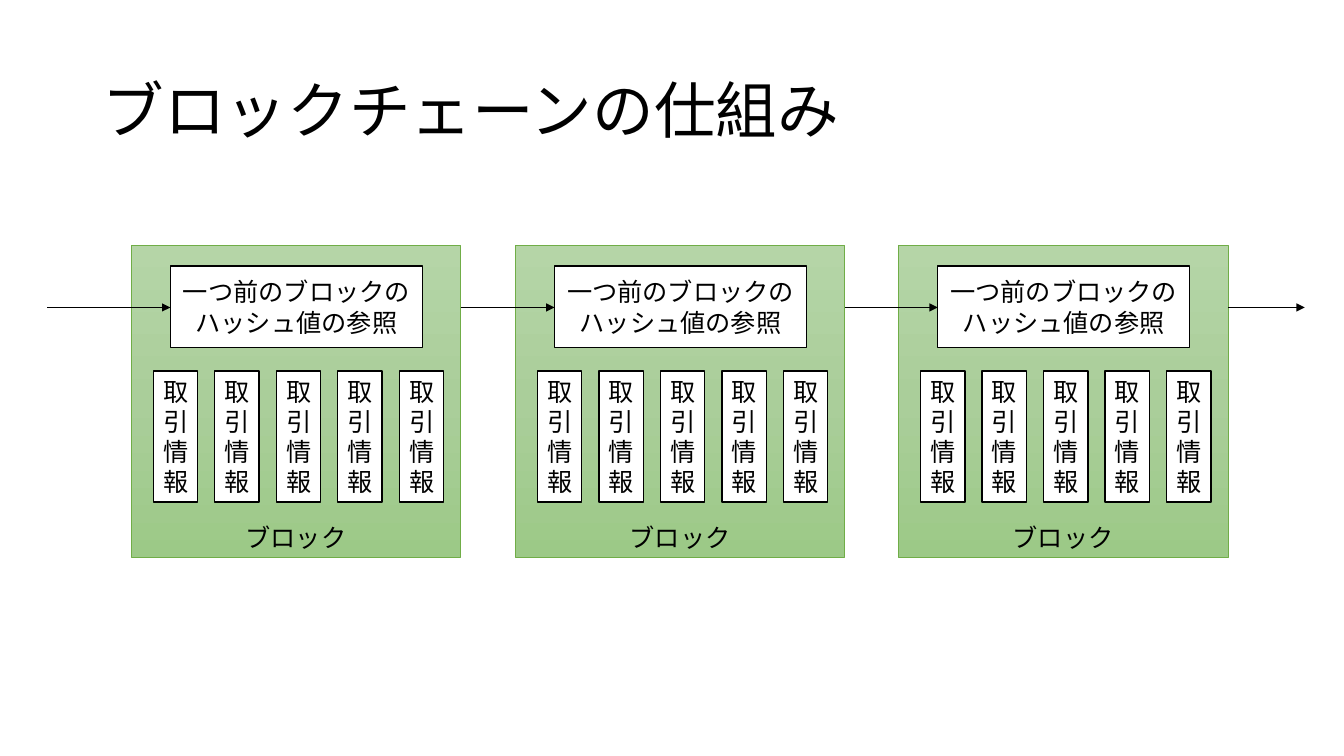
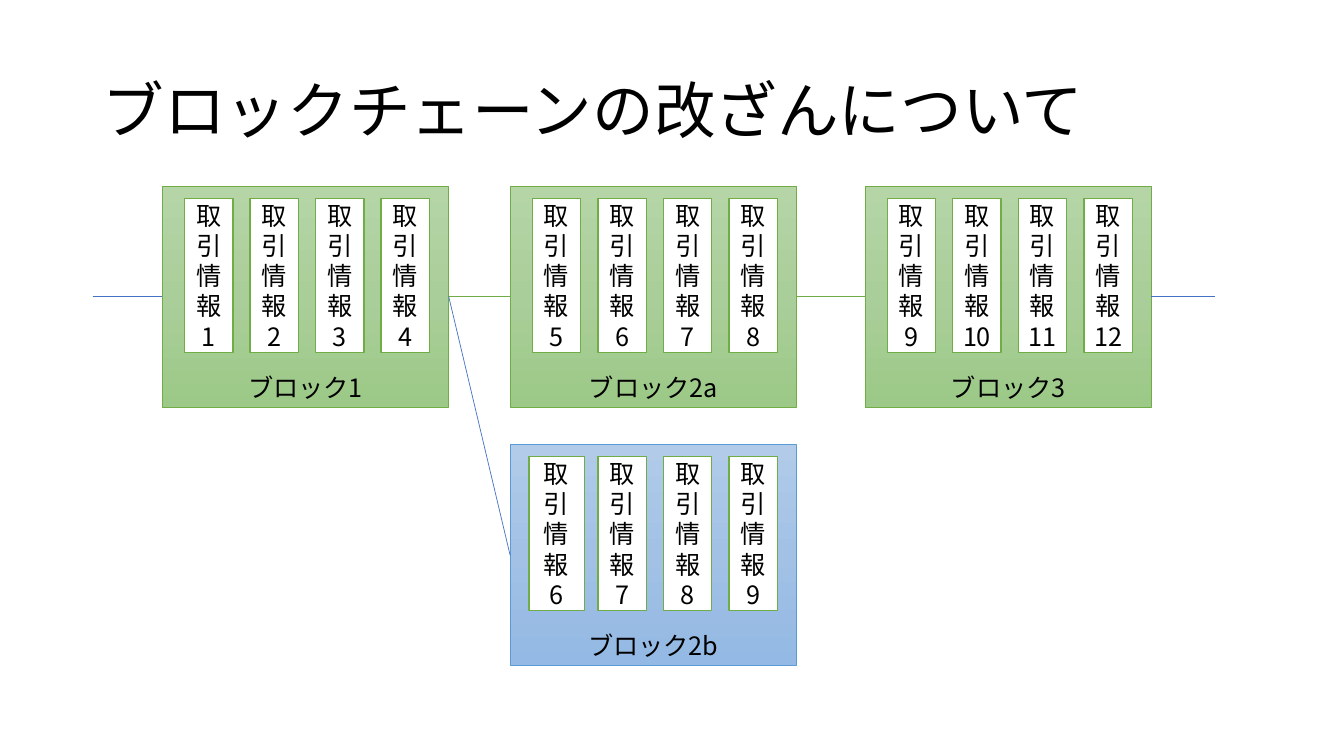
from copy import deepcopy
from lxml import etree
from pptx import Presentation
from pptx.dml.color import RGBColor
from pptx.enum.shapes import MSO_CONNECTOR, MSO_SHAPE
from pptx.enum.text import MSO_ANCHOR, PP_ALIGN
from pptx.oxml.ns import qn
from pptx.util import Inches, Pt

RECT = MSO_SHAPE.RECTANGLE
LINE = MSO_CONNECTOR.STRAIGHT
CENTER, LEFT = PP_ALIGN.CENTER, PP_ALIGN.LEFT
MIDDLE, BOTTOM = MSO_ANCHOR.MIDDLE, MSO_ANCHOR.BOTTOM

# Shared style
FONT = "Noto Sans CJK JP"
BLACK, WHITE, GREEN, BLUE = "000000", "FFFFFF", "70AD47", "4472C4"
# Block tones: gradient from top to bottom, then outline
LEAF = (("B5D5A7", "AACE9A", "9CC987"), GREEN)
SKY = (("B1CBE9", "A3C1E5", "93B9E4"), "5B9BD5")


def rgb(color):
    return RGBColor.from_string(color)


def write(shape, text, size=18, align=CENTER, anchor=MIDDLE):
    frame = shape.text_frame
    frame.word_wrap = True
    frame.vertical_anchor = anchor
    para = frame.paragraphs[0]
    para.text = text
    para.alignment = align
    font = para.font
    font.size = Pt(size)
    font.color.rgb = rgb(BLACK)
    font.name = FONT
    # East Asian text needs its own typeface entry
    props = para._p.pPr.find(qn("a:defRPr"))
    etree.SubElement(props, qn("a:ea"), typeface=FONT)
    return para


def title(slide, text):
    box = slide.shapes.add_textbox(
        Inches(0.92), Inches(0.4), Inches(11.5), Inches(1.45))
    write(box, text, 44, LEFT).line_spacing = 0.9


def rect(slide, x, y, w, h, text, line, width=1, anchor=MIDDLE):
    shape = slide.shapes.add_shape(
        RECT, Inches(x), Inches(y), Inches(w), Inches(h))
    shape.shadow.inherit = False
    shape.fill.solid()
    shape.fill.fore_color.rgb = rgb(WHITE)
    shape.line.color.rgb = rgb(line)
    shape.line.width = Pt(width)
    write(shape, text, anchor=anchor)
    return shape


def shade(shape, colors):
    fill = shape.fill
    fill.gradient()
    fill.gradient_angle = 270
    # Add a middle stop to the two that a new gradient has
    first = shape._element.spPr.find(".//" + qn("a:gs"))
    first.addnext(deepcopy(first))
    for i, (stop, color) in enumerate(zip(fill.gradient_stops, colors)):
        stop.position = i / 2
        stop.color.rgb = rgb(color)


def block(slide, x, y, w, h, name, tone):
    colors, line = tone
    shape = rect(slide, x, y, w, h, name, line, 0.5, BOTTOM)
    shade(shape, colors)


def cards(slide, mid, y, step, widths, h, texts, line):
    """Row of cards whose centres are one step apart, from mid on."""
    for i, (w, text) in enumerate(zip(widths, texts)):
        rect(slide, mid + i * step - w / 2, y, w, h, text, line)


def link(slide, x1, y1, x2, y2, color, arrow=False):
    line = slide.shapes.add_connector(
        LINE, Inches(x1), Inches(y1), Inches(x2), Inches(y2))
    line.line.color.rgb = rgb(color)
    line.line.width = Pt(0.5)
    if arrow:
        etree.SubElement(line.line._get_or_add_ln(), qn("a:tailEnd"),
                         type="triangle")
    etree.SubElement(line._element.spPr, qn("a:effectLst"))


def chain(slide):
    """Blocks that each refer to the one before."""
    title(slide, "ブロックチェーンの仕組み")
    wide, inset, mid = 3.27, 0.39, 3.05
    lefts = (1.3, 5.11, 8.91)
    for x in lefts:
        block(slide, x, 2.43, wide, 3.1, "ブロック", LEAF)
        rect(slide, x + inset, 2.64, 2.5, 0.81,
             "一つ前のブロックのハッシュ値の参照", BLACK)
        cards(slide, x + 0.44, 3.68, 0.61, [0.44] * 5, 1.3,
              ["取引情報"] * 5, BLACK)
    # Arrows run from each block to the next reference
    starts = [0.47] + [x + wide for x in lefts]
    ends = [x + inset for x in lefts] + [12.94]
    for start, end in zip(starts, ends):
        link(slide, start, mid, end, mid, BLACK, arrow=True)


def fork(slide):
    """A chain with a second branch after the first block."""
    title(slide, "ブロックチェーンの改ざんについて")
    wide, mid, low = 2.84, 2.94, 5.51
    even = [0.48] * 4
    # Left, top, name, first card number, card widths, tone
    parts = (
        (1.61, 1.85, "1", 1, even, LEAF),
        (5.06, 1.85, "2a", 5, even, LEAF),
        (5.06, 4.41, "2b", 6, [0.55] + even[1:], SKY),
        (8.58, 1.85, "3", 9, even, LEAF),
    )
    for x, y, name, first, widths, tone in parts:
        block(slide, x, y, wide, 2.19, "ブロック" + name, tone)
        texts = [f"取引情報{first + i}" for i in range(4)]
        cards(slide, x + 0.46, y + 0.12, 0.65, widths, 1.53, texts, GREEN)
    # Links along the chain and down to the branch
    for x1, x2, end, color in (
        (0.92, 1.61, mid, BLUE),
        (4.45, 5.06, mid, GREEN),
        (7.9, 8.58, mid, GREEN),
        (11.42, 12.05, mid, BLUE),
        (4.45, 5.06, low, BLUE),
    ):
        link(slide, x1, mid, x2, end, color)


def main():
    deck = Presentation()
    deck.slide_width, deck.slide_height = Inches(13.33), Inches(7.5)
    for draw in (chain, fork):
        draw(deck.slides.add_slide(deck.slide_layouts[6]))
    deck.save("out.pptx")


if __name__ == "__main__":
    main()
